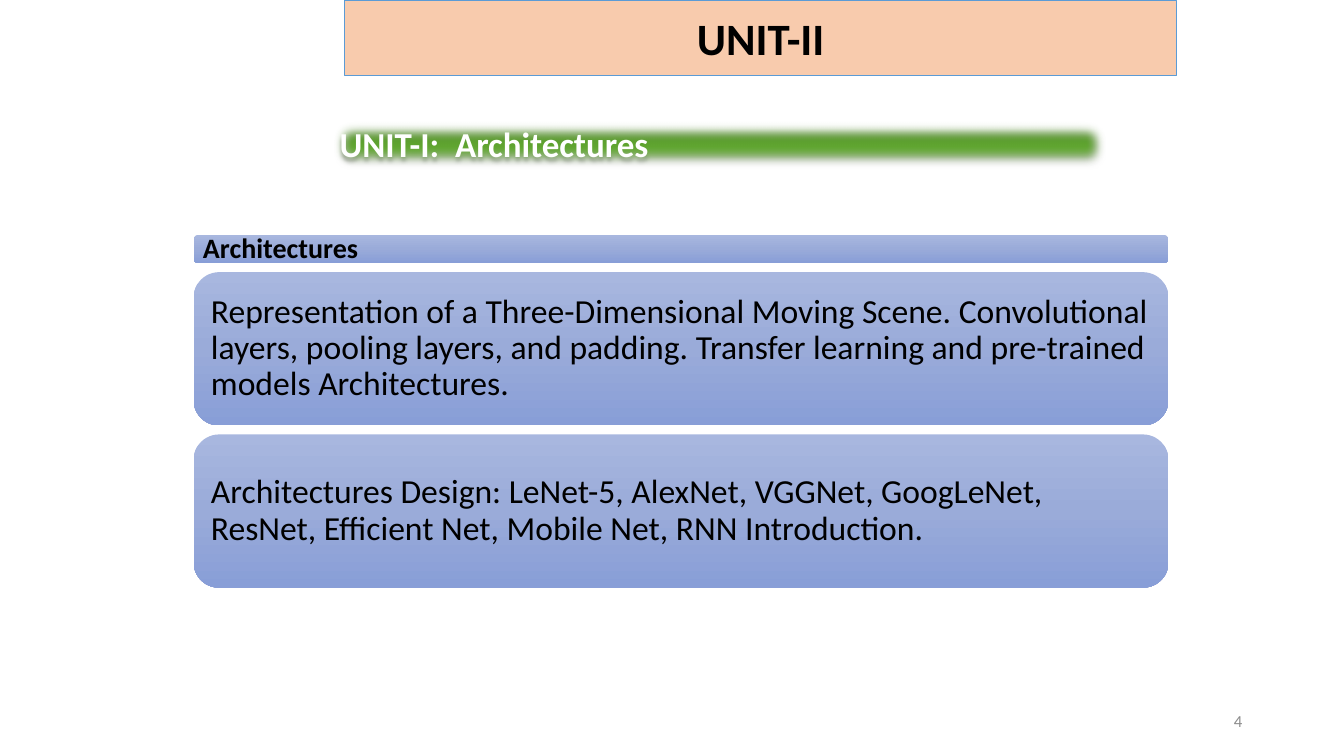
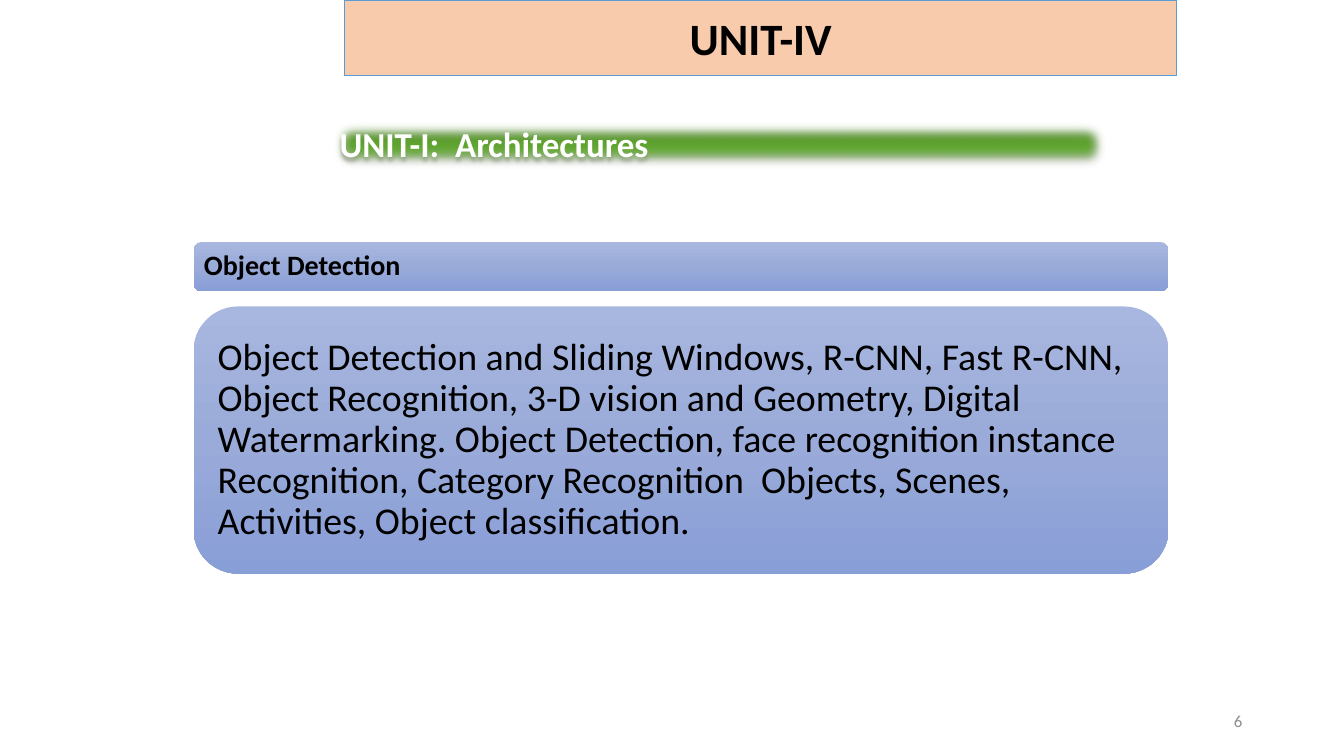
import pptx
import pptx.util
import pptx.dml.color
import pptx.enum.shapes
import pptx.enum.text
import pptx.oxml
import pptx.oxml.ns

Inches = pptx.util.Inches
SHAPES = pptx.enum.shapes.MSO_SHAPE
ALIGN = pptx.enum.text.PP_ALIGN
ANCHOR = pptx.enum.text.MSO_ANCHOR

COLORS = {
    "banner": "F8CBAD", "banner_line": "5B9BD5", "text": "000000",
    "white": "FFFFFF", "number": "8C8C8C", "shadow": "000000",
}
GREEN_STOPS = [(0, "4D8527"), (80, "6AB636"), (100, "6ABA34")]
BLUE_STOPS = [(0, "A8B7DF"), (50, "9AABD9"), (100, "889ED7")]

BANNER_AT = (3.42, 0, 8.25, 0.75)
SUBTITLE_AT = (3.27, 1.17, 7.73, 0.52)
NUMBER_AT = (9.42, 6.95, 3, 0.4)
PANEL_LEFT, PANEL_WIDTH = 1.92, 9.67
SUBTITLE = "UNIT-I:  Architectures"

HEADING = {"size": 20, "bold": True}
UNITS = [
    {
        "title": "UNIT-II", "number": "4", "top": 2.33, "gap": 0.09,
        "panels": [
            ("Architectures", 0.28, 0.08, HEADING),
            ("Representation of a Three-Dimensional Moving Scene. Convolutional "
             "layers, pooling layers, and padding. Transfer learning and "
             "pre-trained models Architectures.", 1.52, 0.1, {"size": 24}),
            ("Architectures Design: LeNet-5, AlexNet, VGGNet, GoogLeNet, ResNet, "
             "Efficient Net, Mobile Net, RNN Introduction.", 1.52, 0.1, {"size": 24}),
        ],
    },
    {
        "title": "UNIT-IV", "number": "6", "top": 2.4, "gap": 0.15,
        "panels": [
            ("Object Detection", 0.49, 0.08, HEADING),
            ("Object Detection and Sliding Windows, R-CNN, Fast R-CNN, Object "
             "Recognition, 3-D vision and Geometry, Digital Watermarking. Object "
             "Detection, face recognition instance Recognition, Category "
             "Recognition  Objects, Scenes, Activities, Object classification.",
             2.65, 0.11, {"size": 27}),
        ],
    },
]


def rgb(name):
    return pptx.dml.color.RGBColor.from_string(COLORS[name])


def set_all(target, values):
    for name, value in values.items():
        setattr(target, name, value)


def write(box, text, size, color="text", bold=False, align=ALIGN.LEFT,
          anchor=ANCHOR.MIDDLE, inset=(0.1, 0.05), spacing=1.0):
    side, edge = (Inches(value) for value in inset)
    set_all(box.text_frame, {
        "word_wrap": True, "vertical_anchor": anchor,
        "margin_left": side, "margin_right": side,
        "margin_top": edge, "margin_bottom": edge,
    })
    para = box.text_frame.paragraphs[0]
    set_all(para, {"alignment": align, "line_spacing": spacing})
    span = para.add_run()
    span.text = text
    set_all(span.font, {"name": "Calibri", "size": pptx.util.Pt(size), "bold": bold})
    span.font.color.rgb = rgb(color)


def add_block(page, kind, at):
    block = page.shapes.add_shape(kind, *map(Inches, at))
    block.shadow.inherit = False
    block.line.fill.background()
    return block


def fill_gradient(shape, stops):
    shape.fill.gradient()
    shape.fill.gradient_angle = 270
    stop_list = shape._element.spPr.find(".//" + pptx.oxml.ns.qn("a:gsLst"))
    stop_list.clear()
    for place, color in stops:
        stop_list.append(pptx.oxml.parse_xml(
            f'<a:gs {pptx.oxml.ns.nsdecls("a")} pos="{place * 1000}">'
            f'<a:srgbClr val="{color}"/></a:gs>'))


def soften(shape):
    effects = shape._element.spPr.find(pptx.oxml.ns.qn("a:effectLst"))
    space = pptx.oxml.ns.nsdecls("a")
    effects.append(pptx.oxml.parse_xml(
        f'<a:outerShdw {space} blurRad="{pptx.util.Pt(3.1)}" '
        f'dist="{pptx.util.Pt(1.8)}" dir="5400000" rotWithShape="0">'
        f'<a:srgbClr val="{COLORS["shadow"]}"><a:alpha val="35000"/></a:srgbClr>'
        '</a:outerShdw>'))
    effects.append(pptx.oxml.parse_xml(
        f'<a:softEdge {space} rad="{Inches(0.12)}"/>'))


def add_frame(page, title, number):
    number_box = page.shapes.add_textbox(*map(Inches, NUMBER_AT))
    write(number_box, number, 12, color="number", align=ALIGN.RIGHT)

    banner = add_block(page, SHAPES.RECTANGLE, BANNER_AT)
    banner.fill.solid()
    banner.fill.fore_color.rgb = rgb("banner")
    banner.line.color.rgb = rgb("banner_line")
    banner.line.width = pptx.util.Pt(0.5)
    write(banner, title, 32, bold=True, align=ALIGN.CENTER)

    subtitle = add_block(page, SHAPES.RECTANGLE, SUBTITLE_AT)
    fill_gradient(subtitle, GREEN_STOPS)
    soften(subtitle)
    write(subtitle, SUBTITLE, 25, color="white", bold=True, anchor=ANCHOR.TOP)


def add_panels(page, panels, top, gap):
    for text, height, inset, style in panels:
        panel = add_block(page, SHAPES.ROUNDED_RECTANGLE,
                          (PANEL_LEFT, top, PANEL_WIDTH, height))
        fill_gradient(panel, BLUE_STOPS)
        write(panel, text, inset=(inset, 0), spacing=0.9, **style)
        top += height + gap


def main():
    deck = pptx.Presentation()
    set_all(deck, {"slide_width": Inches(13.33), "slide_height": Inches(7.5)})
    for unit in UNITS:
        page = deck.slides.add_slide(deck.slide_layouts[6])
        add_frame(page, unit["title"], unit["number"])
        add_panels(page, unit["panels"], unit["top"], unit["gap"])
    deck.save("out.pptx")


if __name__ == "__main__":
    main()
